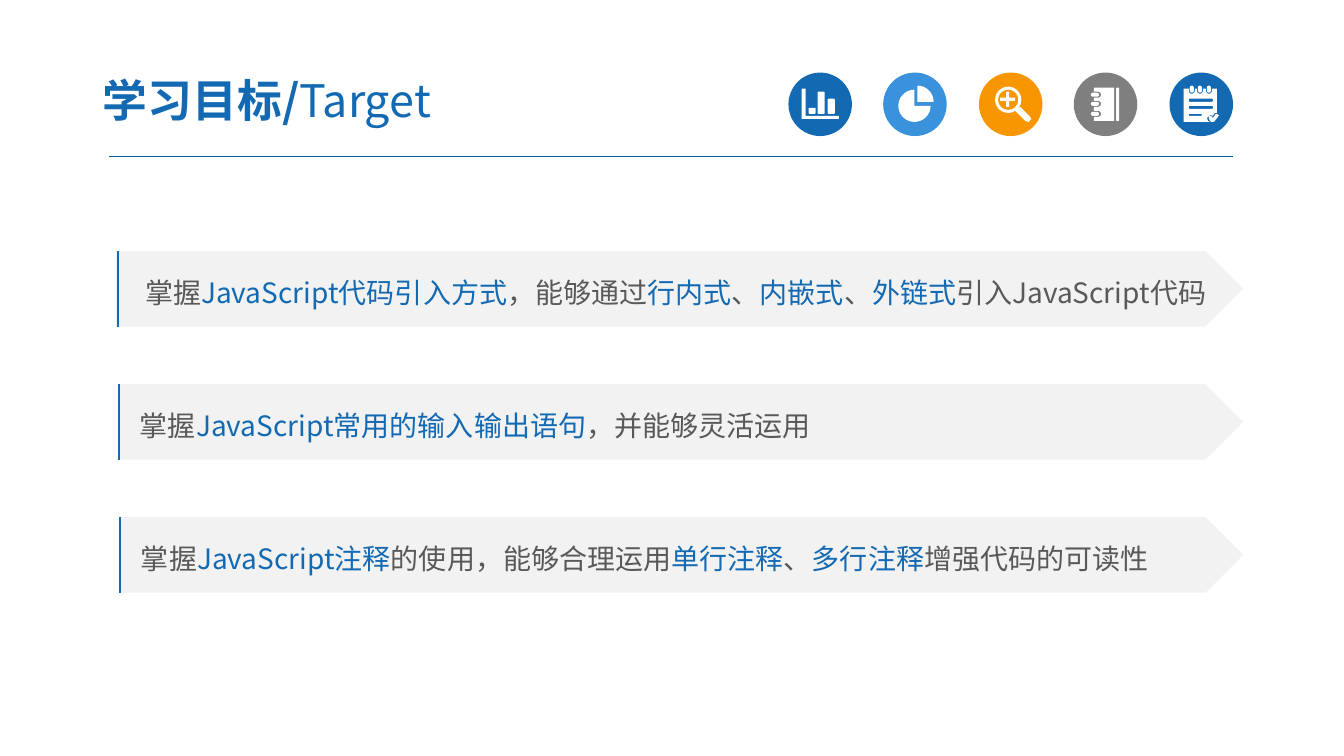
import dataclasses
import math

import lxml.etree
import pptx
import pptx.dml.color
import pptx.enum.shapes
import pptx.enum.text
import pptx.oxml.ns
import pptx.util

PX = 9144
KIND = pptx.enum.shapes.MSO_SHAPE


@dataclasses.dataclass(frozen=True)
class Theme:
    blue: str = "1369B2"
    sky: str = "3992DB"
    gold: str = "F79600"
    gray: str = "7F7F7F"
    rule: str = "005B9E"
    band: str = "F2F2F2"
    text: str = "595959"
    white: str = "FFFFFF"
    face: str = "Noto Sans CJK SC"
    title: int = 32
    body: int = 20


LOOK = Theme()


def px(num):
    return round(num * PX)


def tint(code):
    return pptx.dml.color.RGBColor.from_string(code)


def put(item, vals):
    for key, val in vals.items():
        setattr(item, key, val)


def paint(shape, color):
    shape.shadow.inherit = False
    shape.fill.solid()
    shape.fill.fore_color.rgb = tint(color)
    shape.line.fill.background()


def write(para, text, size, color, bold=False):
    run = para.add_run()
    run.text = text
    put(run.font, {"name": LOOK.face, "size": pptx.util.Pt(size), "bold": bold})
    run.font.color.rgb = tint(color)
    tag = pptx.oxml.ns.qn("a:ea")
    lxml.etree.SubElement(run.font._element, tag, typeface=LOOK.face)


def stroke(shapes, start, end, color, width):
    ends = [px(num) for num in (*start, *end)]
    line = shapes.add_connector(pptx.enum.shapes.MSO_CONNECTOR.STRAIGHT, *ends)
    line.line.color.rgb = tint(color)
    line.line.width = pptx.util.Pt(width)
    tag = pptx.oxml.ns.qn("a:effectLst")
    lxml.etree.SubElement(line._element.spPr, tag)


def arc(x, y, rad, start, end):
    steps = max(4, abs(end - start) // 10)
    turns = [math.radians(start + (end - start) * i / steps)
             for i in range(steps + 1)]
    return [(x + rad * math.cos(t), y + rad * math.sin(t)) for t in turns]


def pill(x, y, wide, high, rad=1):
    left, right = x + rad, x + wide - rad
    top, low = y + rad, y + high - rad
    return (arc(left, top, rad, 180, 270) + arc(right, top, rad, 270, 360)
            + arc(right, low, rad, 0, 90) + arc(left, low, rad, 90, 180))


def bars():
    frame = [(13, 16), (17, 16), (17, 43), (50, 43), (50, 46), (13, 46)]
    tops = [(20, 35), (29, 19), (39, 26)]
    return [frame] + [pill(x, y, 7, 41 - y) for x, y in tops]


def pie():
    return [arc(31, 33, 16, 0, 270) + [(31, 33)],
            arc(34, 29, 16, 270, 360) + [(34, 29)]]


def lens():
    plus = [(27, 19), (30, 19), (30, 25), (36, 25), (36, 28), (30, 28),
            (30, 34), (27, 34), (27, 28), (21, 28), (21, 25), (27, 25)]
    grip = [(36, 38), (46, 48), (49, 49), (52, 46), (50, 43), (41, 34)]
    return [arc(29, 27, 13, 0, 360), arc(29, 27, 10, 0, 360), plus, grip]


def book():
    rows = (41, 31, 22)
    cover = [(20, 15), (40, 15), (40, 48), (20, 48)]
    for y in rows:
        cover += [(20, y + 3), *arc(24, y, 3, 90, -90), (20, y - 3)]
    return [cover, pill(42, 15, 3, 33)] + [pill(17, y - 2, 8, 4, 2) for y in rows]


def note():
    rings = (22, 30, 39)
    page = [(14, 16)]
    for x in rings:
        page += [(x - 3, 16), *arc(x, 18, 3, 180, 0), (x + 3, 16)]
    page += [(47, 16), (47, 40), (45, 40), (43, 43), (40, 42),
             (37, 45), (38, 48), (40, 49), (14, 49)]
    check = [(41, 49), (39, 46), (39, 43), (41, 43), (43, 45),
             (46, 41), (49, 42), (48, 44), (44, 49)]
    lines = [pill(19, 26, 24, 3), pill(19, 33, 24, 3), pill(19, 41, 13, 2)]
    return [page, check] + lines + [pill(x - 2, 13, 4, 7, 2) for x in rings]


def badge(slide, left, top, color, loops):
    shapes = slide.shapes.add_group_shape().shapes
    disc = shapes.add_shape(KIND.OVAL, px(left), px(top), px(63), px(63))
    paint(disc, color)
    loops = [[(px(left + x), px(top + y)) for x, y in loop] for loop in loops]
    pen = shapes.build_freeform(*loops[0][0], scale=1.0)
    for loop in loops:
        pen.move_to(*loop[0])
        pen.add_line_segments(loop[1:], close=True)
    paint(pen.convert_to_shape(), LOOK.white)


def head(slide):
    box = slide.shapes.add_textbox(px(89), px(63), px(522), px(72))
    put(box.text_frame, {
        "word_wrap": True,
        "vertical_anchor": pptx.enum.text.MSO_ANCHOR.MIDDLE,
        "margin_left": px(13), "margin_right": px(13),
        "margin_top": px(7), "margin_bottom": px(7)})
    para = box.text_frame.paragraphs[0]
    write(para, "学习目标/", LOOK.title, LOOK.blue, True)
    write(para, "Target", LOOK.title, LOOK.blue)
    stroke(slide.shapes, (108, 155), (1223, 155), LOOK.rule, 0.75)


def goal(slide, left, top, edge, inset, text):
    shapes = slide.shapes.add_group_shape().shapes
    band = shapes.add_shape(
        KIND.PENTAGON, px(left), px(top), px(1233 - left), px(75))
    paint(band, LOOK.band)
    put(band.text_frame, {
        "word_wrap": True,
        "vertical_anchor": pptx.enum.text.MSO_ANCHOR.MIDDLE})
    para = band.text_frame.paragraphs[0]
    put(para, {"alignment": pptx.enum.text.PP_ALIGN.LEFT, "line_spacing": 1.2})
    para._p.get_or_add_pPr().set("indent", str(px(inset)))
    for i, part in enumerate(text.split("|")):
        write(para, part, LOOK.body, LOOK.blue if i % 2 else LOOK.text)
    stroke(shapes, (edge, top + 75), (edge, top), LOOK.blue, 1.5)


def main():
    deck = pptx.Presentation()
    put(deck, {"slide_width": px(1333), "slide_height": px(750)})
    slide = deck.slides.add_slide(deck.slide_layouts[6])
    head(slide)
    icons = [(LOOK.blue, bars), (LOOK.sky, pie), (LOOK.gold, lens),
             (LOOK.gray, book), (LOOK.blue, note)]
    for i, (color, draw) in enumerate(icons):
        badge(slide, 782 + i * 189 // 2, 72, color, draw())
    goals = [
        (115, 117, 19, "掌握|JavaScript代码引入方式|，能够通过|行内式|、|内嵌式|、"
                       "|外链式|引入JavaScript代码"),
        (117, 118, 12, "掌握|JavaScript常用的输入输出语句|，并能够灵活运用"),
        (118, 119, 12, "掌握|JavaScript注释|的使用，能够合理运用|单行注释|、"
                       "|多行注释|增强代码的可读性"),
    ]
    for i, (left, edge, inset, text) in enumerate(goals):
        goal(slide, left, 249 + i * 132, edge, inset, text)
    deck.save("out.pptx")


if __name__ == "__main__":
    main()
